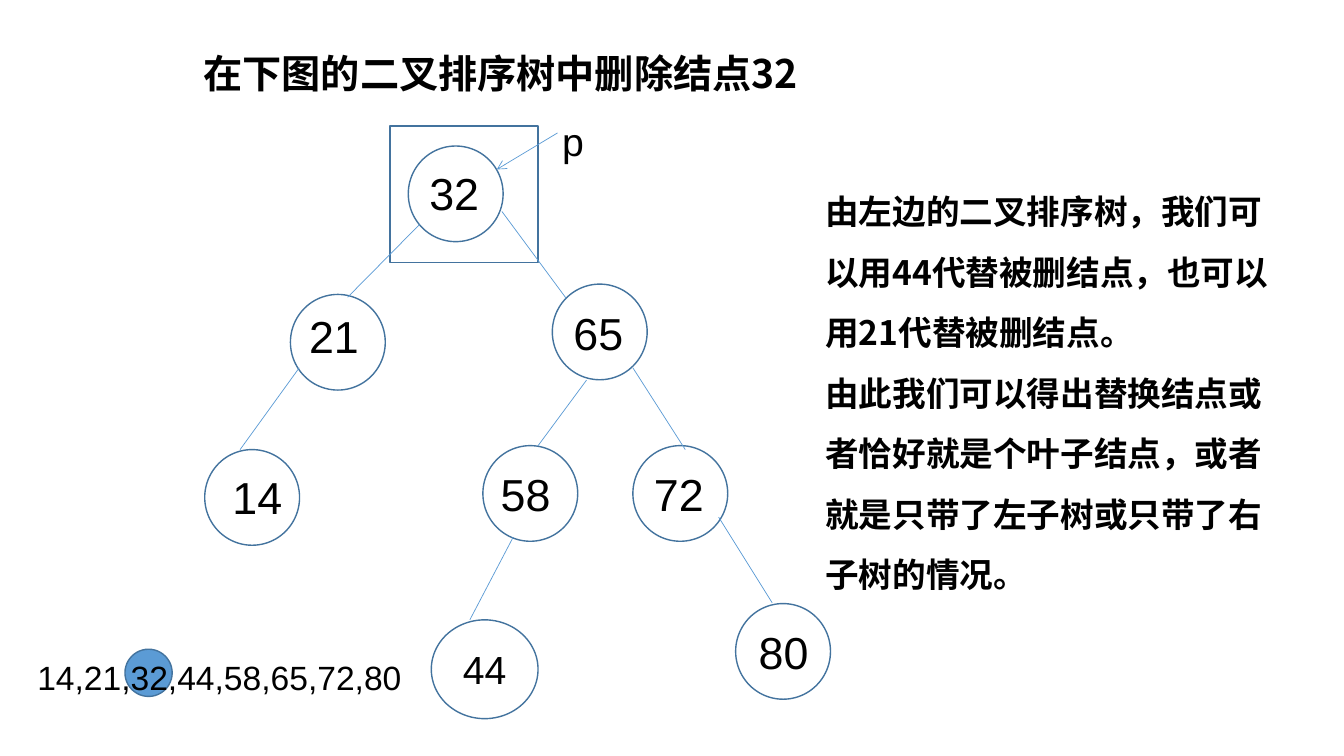
from lxml import etree
from pptx import Presentation
from pptx.dml.color import RGBColor
from pptx.enum.shapes import MSO_CONNECTOR, MSO_SHAPE
from pptx.enum.text import MSO_ANCHOR, MSO_AUTO_SIZE, PP_ALIGN
from pptx.oxml.ns import qn
from pptx.util import Cm, Pt

OVAL = MSO_SHAPE.OVAL
RECTANGLE = MSO_SHAPE.RECTANGLE
FLOW_CONNECTOR = MSO_SHAPE.FLOWCHART_CONNECTOR
STRAIGHT = MSO_CONNECTOR.STRAIGHT
MIDDLE = MSO_ANCHOR.MIDDLE
CENTER = PP_ALIGN.CENTER
FIT_SHAPE = MSO_AUTO_SIZE.SHAPE_TO_FIT_TEXT

COLORS = {"text": "000000", "paper": "FFFFFF", "outline": "43739E", "accent": "5B9BD5"}
LATIN = "Arial"
CHINESE = "Noto Sans CJK SC"
NODE_SIZE = (2.39, 2.41)

NODES = [
    ("32", (10.29, 3.68), (10.57, 4.06, 2.36)),
    ("58", (12.17, 11.23), (12.37, 11.63, 1.83)),
    ("65", (13.92, 7.16), (14.2, 7.57, 1.83)),
    ("14", (5.16, 11.33), (5.61, 11.71, 2.13)),
    ("72", (15.95, 11.23), (16.23, 11.63, 1.83)),
    ("21", (7.32, 7.42), (7.54, 7.65, 2.16)),
    ("80", (18.54, 15.21), (18.87, 15.62, 2.06)),
]
EDGES = [
    (10.57, 5.66, 8.76, 7.49),
    (7.54, 9.27, 6.05, 11.33),
    (12.65, 5.33, 14.27, 7.52),
    (14.78, 9.58, 13.56, 11.23),
    (15.95, 9.27, 17.27, 11.33),
    (18.11, 13.03, 19.46, 15.19),
    (12.93, 13.54, 11.84, 15.62),
]
EXPLANATION = [
    "由左边的二叉排序树，我们可以用44代替被删结点，也可以用21代替被删结点。",
    "由此我们可以得出替换结点或者恰好就是个叶子结点，或者就是只带了左子树或只带了右子树的情况。",
]


class TreeSlide:
    """Draws the tree elements in one style on the current slide."""

    def __init__(self, slide):
        self.slide = slide

    def color(self, name):
        return RGBColor.from_string(COLORS[name])

    def format_text(self, text_frame, size, font_name=LATIN, bold=False):
        for paragraph in text_frame.paragraphs:
            for run in paragraph.runs:
                run.font.size = Pt(size)
                run.font.bold = bold
                run.font.name = font_name
                run.font.color.rgb = self.color("text")
                east_asian = etree.SubElement(run.font._element, qn("a:ea"))
                east_asian.set("typeface", font_name)

    def shape(self, kind, left, top, width, height, fill="paper"):
        shape = self.slide.shapes.add_shape(kind, Cm(left), Cm(top), Cm(width), Cm(height))
        shape.shadow.inherit = False
        shape.fill.solid()
        shape.fill.fore_color.rgb = self.color(fill)
        shape.line.color.rgb = self.color("outline")
        shape.line.width = Pt(1)
        return shape

    def text(self, content, box, size, font_name=LATIN, bold=False, line_spacing=None):
        left, top, width, height = box
        shape = self.slide.shapes.add_textbox(Cm(left), Cm(top), Cm(width), Cm(height))
        text_frame = shape.text_frame
        text_frame.word_wrap = True
        text_frame.auto_size = FIT_SHAPE
        text_frame.text = content
        for paragraph in text_frame.paragraphs:
            paragraph.line_spacing = line_spacing
        self.format_text(text_frame, size, font_name, bold)

    def filled_node(self, label, box, size):
        shape = self.shape(OVAL, *box)
        text_frame = shape.text_frame
        text_frame.text = label
        text_frame.vertical_anchor = MIDDLE
        text_frame.paragraphs[0].alignment = CENTER
        self.format_text(text_frame, size)

    def line(self, start_x, start_y, end_x, end_y, arrow=False):
        connector = self.slide.shapes.add_connector(
            STRAIGHT, Cm(start_x), Cm(start_y), Cm(end_x), Cm(end_y))
        connector.line.color.rgb = self.color("accent")
        connector.line.width = Pt(0.5)
        if arrow:
            outline = connector.line._get_or_add_ln()
            etree.SubElement(outline, qn("a:tailEnd")).set("type", "arrow")
        etree.SubElement(connector._element.spPr, qn("a:effectLst"))


def main():
    presentation = Presentation()
    presentation.slide_width = Cm(33.87)
    presentation.slide_height = Cm(19.05)
    tree = TreeSlide(presentation.slides.add_slide(presentation.slide_layouts[6]))

    tree.shape(FLOW_CONNECTOR, 3.15, 16.36, 1.19, 1.19, fill="accent")
    tree.text("在下图的二叉排序树中删除结点32", (4.88, 1.12, 19.41, 1.45), 28, CHINESE, bold=True)
    tree.shape(RECTANGLE, 9.83, 3.18, 3.73, 3.43)
    for _, position, _ in NODES:
        tree.shape(OVAL, *position, *NODE_SIZE)
    for edge in EDGES:
        tree.line(*edge)
    for label, _, label_box in NODES:
        tree.text(label, (*label_box, 1.63), 32)
    tree.filled_node("44", (10.87, 15.62, 2.69, 2.49), 28)
    tree.text("p", (13.92, 2.82, 1.07, 1.45), 28)
    tree.line(14.05, 3.35, 12.52, 4.27, arrow=True)
    tree.text("\n".join(EXPLANATION), (20.55, 4.19, 12.07, 11.02), 24, CHINESE,
              bold=True, line_spacing=1.5)
    tree.text("14,21,32,44,58,65,72,80", (0.69, 16.43, 9.75, 1.27), 24)

    presentation.save("out.pptx")


if __name__ == "__main__":
    main()
